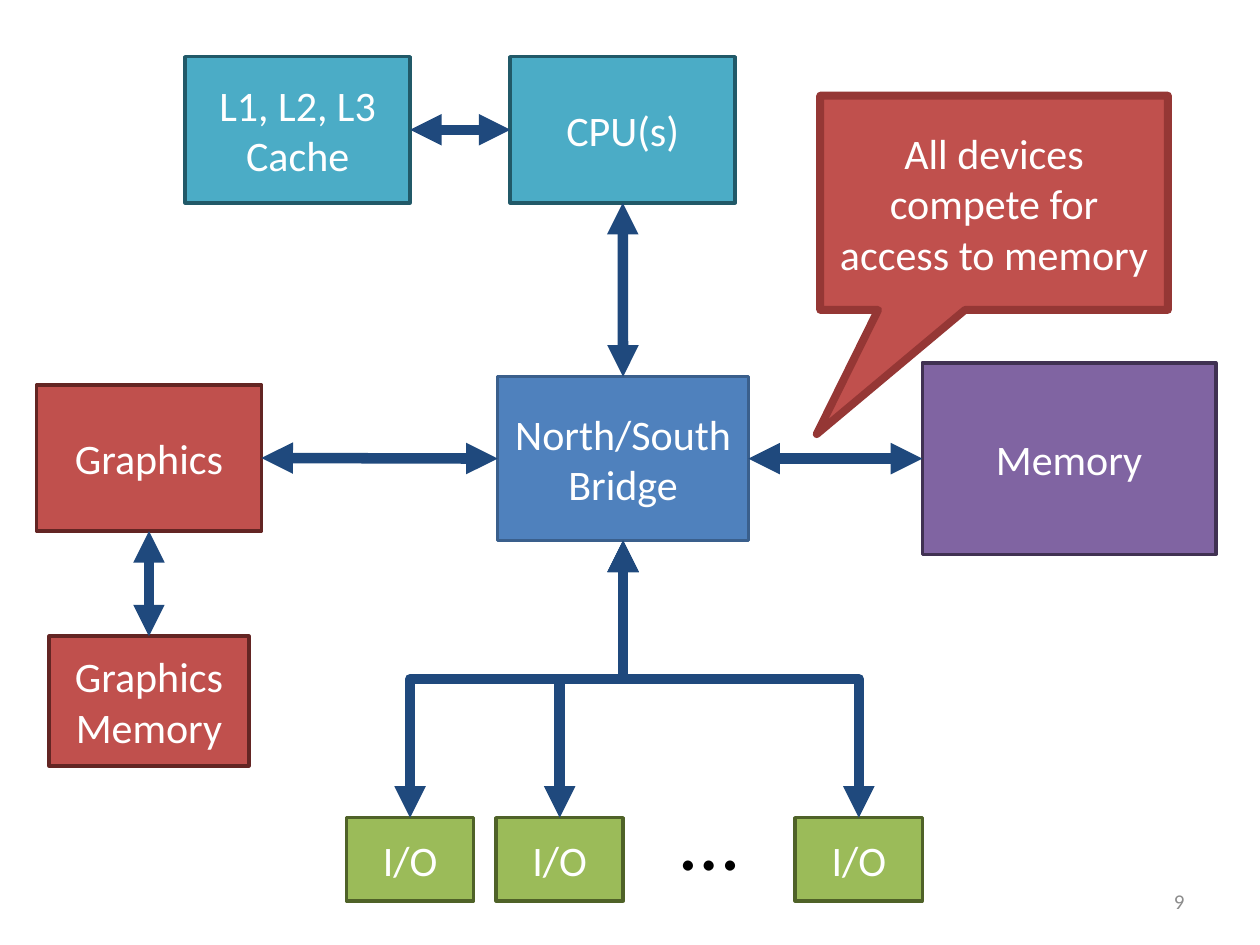
"""Build a slide showing how devices share memory through the bridge."""
from dataclasses import dataclass

from lxml import etree
from pptx import Presentation
from pptx.dml.color import RGBColor
from pptx.enum.shapes import MSO_CONNECTOR, MSO_SHAPE
from pptx.enum.text import MSO_ANCHOR, PP_ALIGN
from pptx.oxml.ns import qn
from pptx.util import Inches, Pt

RECT, CALLOUT = MSO_SHAPE.RECTANGLE, MSO_SHAPE.RECTANGULAR_CALLOUT
STRAIGHT, ELBOW = MSO_CONNECTOR.STRAIGHT, MSO_CONNECTOR.ELBOW
CENTER, RIGHT = PP_ALIGN.CENTER, PP_ALIGN.RIGHT
MIDDLE = MSO_ANCHOR.MIDDLE
TOP, LEFT, BOTTOM, RIGHT_SIDE = range(4)

WIDTH, HEIGHT = Inches(10), Inches(7.5)
COLS, ROWS = 100, 75
COL, ROW = WIDTH / COLS, HEIGHT / ROWS

COLORS = {
    "bridge": "4F81BD", "bridge_line": "3A5F8C",
    "graphics": "C0504D", "graphics_line": "632523",
    "io": "9BBB59", "io_line": "4F6228",
    "memory": "8064A2", "memory_line": "403152",
    "cpu": "4BACC6", "cpu_line": "215968",
    "callout": "C0504D", "callout_line": "953735",
    "arrow": "1F497D", "white": "FFFFFF", "black": "000000", "gray": "8C8C8C",
}


@dataclass(frozen=True)
class Box:
    text: str
    color: str
    col: float
    row: float
    cols: float
    rows: float
    shape: MSO_SHAPE = RECT
    line: float = 2


@dataclass(frozen=True)
class Label:
    text: str
    color: str
    size: int
    align: PP_ALIGN
    col: float
    row: float
    cols: float
    rows: float


@dataclass(frozen=True)
class Link:
    start: str
    start_side: int
    end: str
    end_side: int


IO_COL, IO_STEP, IO_ROW, IO_COLS, IO_ROWS = 27.5, 11.87, 64.9, 10.1, 6.6
IO_SLOTS = (0, 1, 3)

BOXES = {
    "bridge": Box("North/South Bridge", "bridge", 39.5, 29.9, 19.9, 13),
    "graphics": Box("Graphics", "graphics", 2.9, 30.55, 17.85, 11.6),
    "graphics memory": Box("Graphics Memory", "graphics", 3.9, 50.5, 15.85, 10.3),
    **{f"io {i}": Box("I/O", "io", IO_COL + i * IO_STEP, IO_ROW, IO_COLS, IO_ROWS)
       for i in IO_SLOTS},
    "memory": Box("Memory", "memory", 73.2, 28.8, 23.3, 15.2),
    "cpu": Box("CPU(s)", "cpu", 40.5, 4.5, 17.85, 11.6),
    "cache": Box("L1, L2, L3 Cache", "cpu", 14.7, 4.5, 17.85, 11.6),
}
NOTE = Box("All devices compete for access to memory", "callout",
           65.1, 7.6, 27.6, 17, CALLOUT, 4.5)
NOTE_TIP = (-0.51, 1.08)

LABELS = (
    Label("9", "gray", 12, RIGHT, 71.7, 69.5, 23.3, 4),
    Label("…", "black", 48, CENTER, IO_COL + 2 * IO_STEP, 63.1, IO_COLS, IO_ROWS),
)

LINKS = (
    Link("cpu", BOTTOM, "bridge", TOP),
    Link("memory", LEFT, "bridge", RIGHT_SIDE),
    Link("cpu", LEFT, "cache", RIGHT_SIDE),
    Link("bridge", LEFT, "graphics", RIGHT_SIDE),
    Link("graphics memory", TOP, "graphics", BOTTOM),
)


def rgb(name: str) -> RGBColor:
    return RGBColor.from_string(COLORS[name])


def place(item: Box | Label) -> list[int]:
    return [round(v) for v in (item.col * COL, item.row * ROW,
                               item.cols * COL, item.rows * ROW)]


def write(sp, text: str, color: str, size: int = 24, align: PP_ALIGN = CENTER) -> None:
    tf = sp.text_frame
    p = tf.paragraphs[0]
    r = p.add_run()
    formats = {
        tf: {"word_wrap": True, "vertical_anchor": MIDDLE},
        p: {"alignment": align},
        r: {"text": text},
        r.font: {"name": "Calibri", "size": Pt(size)},
    }
    for obj, values in formats.items():
        for name, value in values.items():
            setattr(obj, name, value)
    r.font.color.rgb = rgb(color)


def add_box(s, box: Box):
    sp = s.shapes.add_shape(box.shape, *place(box))
    sp.shadow.inherit = False
    sp.fill.solid()
    sp.fill.fore_color.rgb = rgb(box.color)
    sp.line.color.rgb = rgb(f"{box.color}_line")
    sp.line.width = Pt(box.line)
    write(sp, box.text, "white")
    return sp


def add_label(s, label: Label) -> None:
    sp = s.shapes.add_textbox(*place(label))
    write(sp, label.text, label.color, label.size, label.align)


def add_arrow(s, kind: MSO_CONNECTOR, *ends: int):
    c = s.shapes.add_connector(kind, *ends)
    c.line.color.rgb = rgb("arrow")
    c.line.width = Pt(6)
    ln = c.line._get_or_add_ln()
    for tag in ("a:headEnd", "a:tailEnd"):
        etree.SubElement(ln, qn(tag), type="triangle")
    etree.SubElement(c._element.spPr, qn("a:effectLst"))
    return c


def add_link(s, link: Link, shapes: dict) -> None:
    c = add_arrow(s, STRAIGHT, 0, 0, 0, 0)
    c.begin_connect(shapes[link.start], link.start_side)
    c.end_connect(shapes[link.end], link.end_side)


def add_branch(s, top, bottom) -> None:
    """Turn an elbow a quarter so that it leaves downwards."""
    x1, y1 = top.left + top.width // 2, top.top + top.height
    x2, y2 = bottom.left + bottom.width // 2, bottom.top
    cx, cy = (x1 + x2) // 2, (y1 + y2) // 2
    half_w, half_h = (y2 - y1) // 2, abs(x2 - x1) // 2
    turn, way = (90, 1) if x2 < x1 else (270, -1)
    c = add_arrow(s, ELBOW, cx - way * half_w, cy - half_h,
                  cx + way * half_w, cy + half_h)
    c._element.spPr.find(qn("a:xfrm")).set("rot", str(turn * 60000))


def main() -> None:
    prs = Presentation()
    prs.slide_width, prs.slide_height = WIDTH, HEIGHT
    s = prs.slides.add_slide(prs.slide_layouts[6])
    shapes = {name: add_box(s, box) for name, box in BOXES.items()}
    for label in LABELS:
        add_label(s, label)
    for link in LINKS:
        add_link(s, link, shapes)
    for i in IO_SLOTS:
        add_branch(s, shapes["bridge"], shapes[f"io {i}"])
    note = add_box(s, NOTE)
    for i, value in enumerate(NOTE_TIP):
        note.adjustments[i] = value
    prs.save("out.pptx")


if __name__ == "__main__":
    main()
